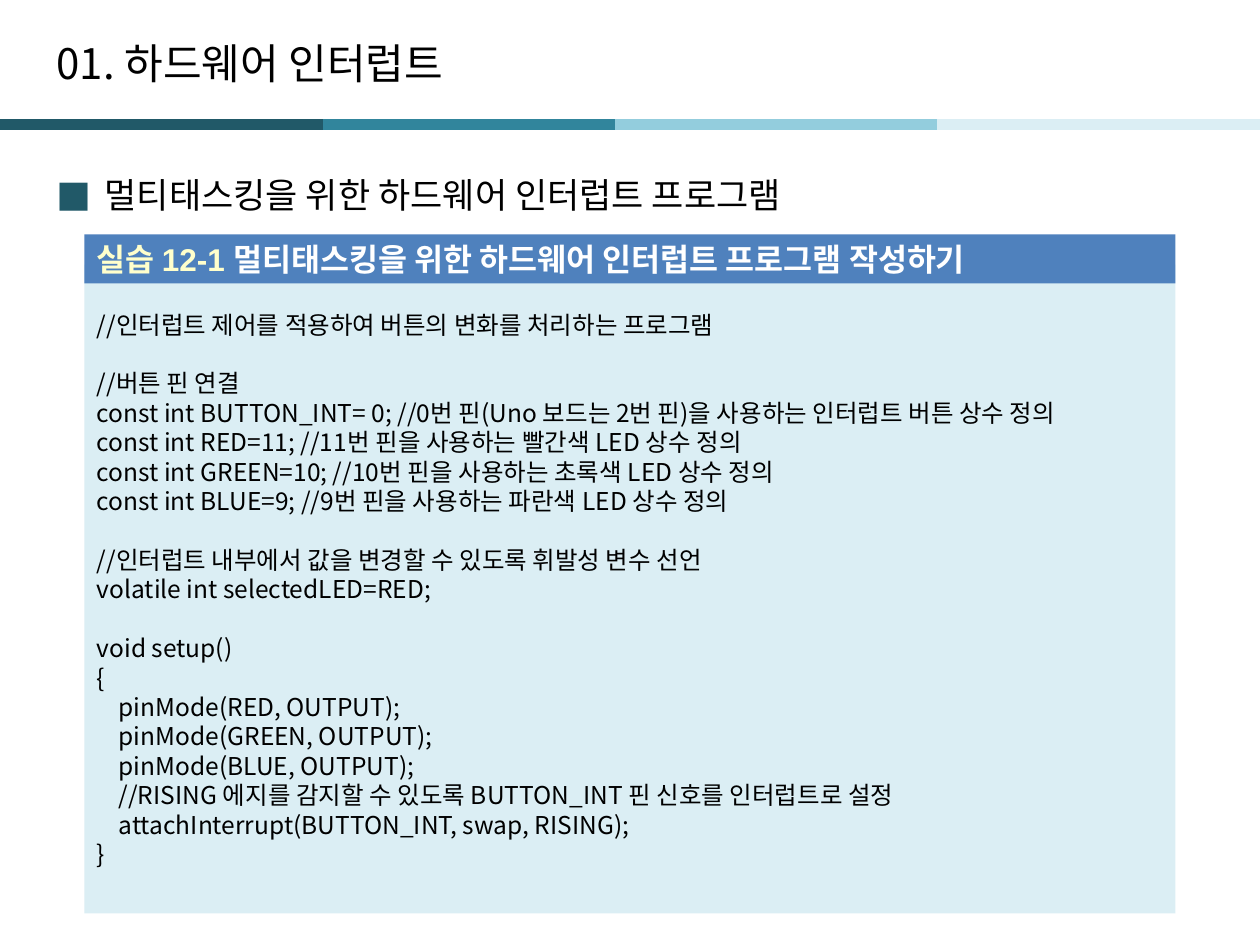
from lxml import etree
from pptx import Presentation
from pptx.dml.color import RGBColor
from pptx.enum.shapes import MSO_CONNECTOR, MSO_SHAPE
from pptx.enum.text import MSO_ANCHOR, MSO_AUTO_SIZE, PP_ALIGN
from pptx.oxml.ns import qn
from pptx.util import Inches, Pt

COLORS = {
    "black": "000000", "white": "FFFFFF", "cream": "FFFFCC", "blue": "4F81BD",
    "dark teal": "215968", "teal": "31859C", "sky": "93CDDD", "pale": "DBEEF4",
}
KOREAN_FONT = "Noto Sans CJK KR"
CODE = """//인터럽트 제어를 적용하여 버튼의 변화를 처리하는 프로그램

//버튼 핀 연결
const int BUTTON_INT= 0; //0번 핀(Uno 보드는 2번 핀)을 사용하는 인터럽트 버튼 상수 정의
const int RED=11; //11번 핀을 사용하는 빨간색 LED 상수 정의
const int GREEN=10; //10번 핀을 사용하는 초록색 LED 상수 정의
const int BLUE=9; //9번 핀을 사용하는 파란색 LED 상수 정의

//인터럽트 내부에서 값을 변경할 수 있도록 휘발성 변수 선언
volatile int selectedLED=RED;

void setup()
{
    pinMode(RED, OUTPUT);
    pinMode(GREEN, OUTPUT);
    pinMode(BLUE, OUTPUT);
    //RISING 에지를 감지할 수 있도록 BUTTON_INT 핀 신호를 인터럽트로 설정
    attachInterrupt(BUTTON_INT, swap, RISING);
}"""


def format_font(font, size, color="black", name=KOREAN_FONT, bold=False):
    font.size = Pt(size)
    font.bold = bold
    font.name = name
    font.color.rgb = RGBColor.from_string(COLORS[color])


def add_panel(top, height, color):
    """Add a borderless rectangle with left-aligned, vertically centred text."""
    panel = slide.shapes.add_shape(
        MSO_SHAPE.RECTANGLE, Inches(0.67), Inches(top), Inches(8.66), Inches(height))
    panel.shadow.inherit = False
    panel.fill.solid()
    panel.fill.fore_color.rgb = RGBColor.from_string(COLORS[color])
    panel.line.fill.background()
    panel.text_frame.word_wrap = True
    panel.text_frame.vertical_anchor = MSO_ANCHOR.MIDDLE
    return panel


presentation = Presentation()
presentation.slide_width, presentation.slide_height = Inches(10), Inches(7.5)
slide = presentation.slides.add_slide(presentation.slide_layouts[1])

# Four-colour rule under the title
segments = [(2.32, "teal"), (4.88, "sky"), (7.44, "pale"), (0, "dark teal")]
for left, color in segments:
    segment = slide.shapes.add_connector(
        MSO_CONNECTOR.STRAIGHT, Inches(left), Inches(0.99), Inches(left + 2.56), Inches(0.99))
    segment.line.width = Pt(6)
    segment.line.color.rgb = RGBColor.from_string(COLORS[color])
    etree.SubElement(segment._element.spPr, qn("a:effectLst"))

# Title
title = slide.shapes.title
title.left, title.top, title.width, title.height = (
    Inches(0.35), Inches(0.2), Inches(9.45), Inches(0.6))
title.text_frame.text = "01. 하드웨어 인터럽트"
title.text_frame.auto_size = MSO_AUTO_SIZE.NONE
title.text_frame.vertical_anchor = MSO_ANCHOR.MIDDLE
paragraph = title.text_frame.paragraphs[0]
paragraph.alignment = PP_ALIGN.LEFT
format_font(paragraph.runs[0].font, 24)

# Bulleted heading
body = slide.placeholders[1]
body.left, body.top, body.width, body.height = (
    Inches(0.35), Inches(1.23), Inches(9.29), Inches(5.91))
body.text_frame.text = "멀티태스킹을 위한 하드웨어 인터럽트 프로그램"
body.text_frame.auto_size = MSO_AUTO_SIZE.NONE
paragraph = body.text_frame.paragraphs[0]
paragraph.space_before = Pt(0)
paragraph.line_spacing = 1.3
properties = paragraph._p.get_or_add_pPr()
properties.set("marL", str(Inches(0.38)))
properties.set("indent", str(Inches(-0.38)))
bullet_color = etree.SubElement(properties, qn("a:buClr"))
etree.SubElement(bullet_color, qn("a:srgbClr"), val=COLORS["dark teal"])
etree.SubElement(properties, qn("a:buFont"), typeface=KOREAN_FONT)
etree.SubElement(properties, qn("a:buChar"), char="■")
format_font(paragraph.runs[0].font, 20)

# Code listing
listing = add_panel(2.1, 5.15, "pale")
listing.text_frame.text = CODE
for paragraph in listing.text_frame.paragraphs:
    paragraph.alignment = PP_ALIGN.LEFT
    paragraph.line_spacing = Pt(16.8)
    format_font(paragraph.font, 14)
    for run in paragraph.runs:
        format_font(run.font, 14)

# Exercise header
header = add_panel(1.86, 0.39, "blue")
paragraph = header.text_frame.paragraphs[0]
paragraph.alignment = PP_ALIGN.LEFT
for text, color in [("실습 12-1 ", "cream"),
                    ("멀티태스킹을 위한 하드웨어 인터럽트 프로그램 작성하기", "white")]:
    run = paragraph.add_run()
    run.text = text
    format_font(run.font, 18, color, "Arial", bold=True)

presentation.save("out.pptx")
